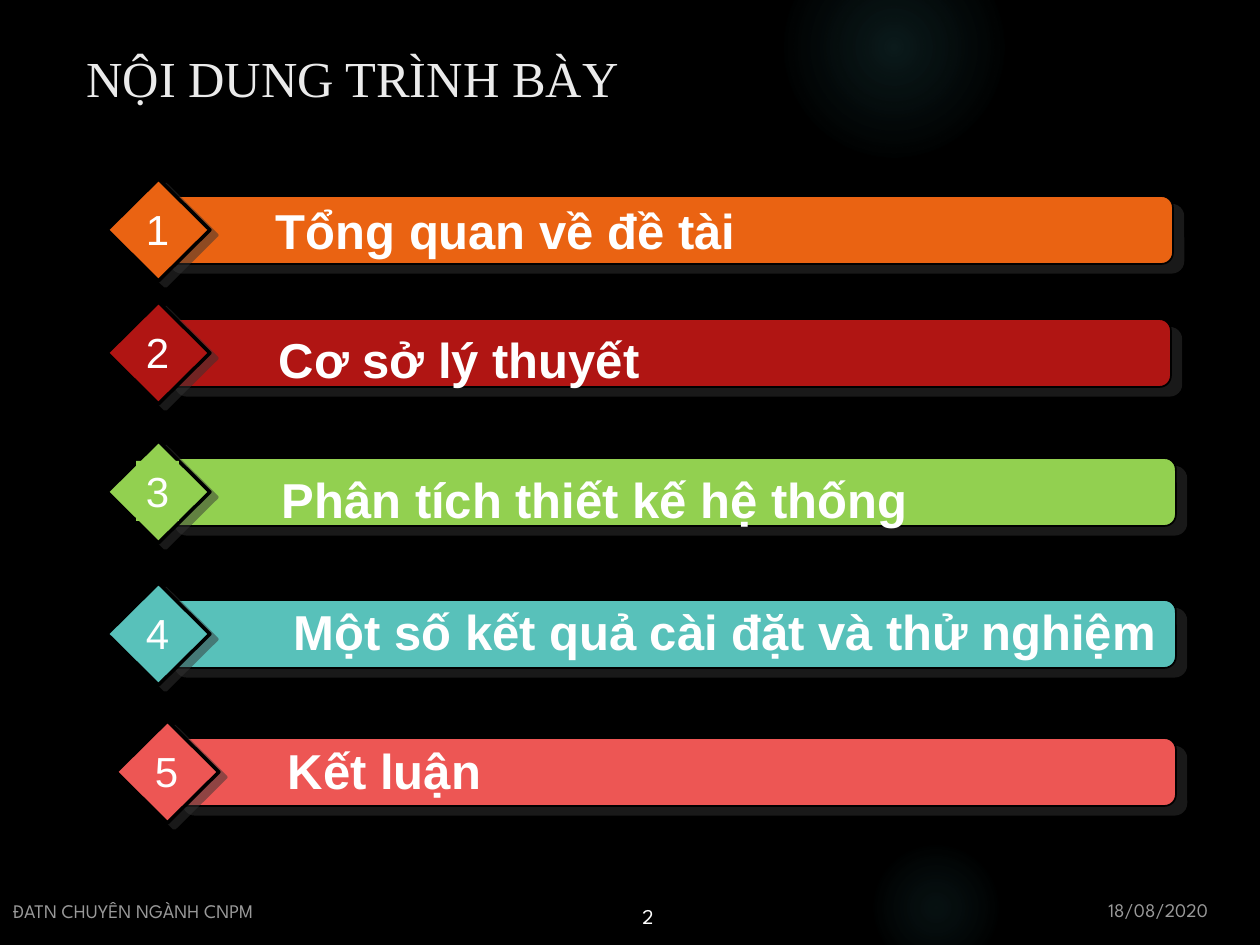
import pptx
import pptx.util
import lxml.etree
from dataclasses import dataclass
from pptx.dml.color import RGBColor
from pptx.enum.shapes import MSO_SHAPE
from pptx.enum.text import MSO_ANCHOR, PP_ALIGN
from pptx.oxml.ns import qn


@dataclass(frozen=True)
class Theme:
    back: str = "000000"
    white: str = "FFFFFF"
    title: str = "EBEBEB"
    shadow: str = "333333"
    glow: str = "50B9C1"
    heading_font: str = "Times New Roman"
    body_font: str = "Arial"
    footer_font: str = "League Spartan"
    title_size: float = 28.8
    label_size: int = 28
    number_size: int = 24
    page_size: int = 12
    footer_size: int = 11


T = Theme()

# Content; lengths in px
TITLE = "NỘI DUNG TRÌNH BÀY"
# label, colour, bar (left, top, width), diamond left,
# label box (left, top, width), label indent
AGENDA = [
    ("Tổng quan về đề tài", "EA6312", (160, 196, 1013), 107, (94, 195, 1166), 173),
    ("Cơ sở lý thuyết", "B01513", (165, 319, 1006), 107, (199, 324, 987), 71),
    ("Phân tích thiết kế hệ thống", "92D050", (165, 458, 1011), 107, (202, 464, 971), 71),
    ("Một số kết quả cài đặt và thử nghiệm", "58C1BA", (165, 600, 1011), 107, (214, 596, 971), 71),
    ("Kết luận", "ED5654", (173, 738, 1003), 116, (208, 735, 964), 71),
]
FILLED_NUMBER = 3
# text, box, size, opacity, anchor
FOOTER = [
    ("18/08/2020", (1096, 892, 156, 37), T.footer_size, 60, MSO_ANCHOR.TOP),
    ("ĐATN CHUYÊN NGÀNH CNPM", (1, 897, 532, 32), T.footer_size, 60, MSO_ANCHOR.BOTTOM),
    ("2", (630, 897, 71, 37), T.page_size, 100, MSO_ANCHOR.TOP),
]
# box, (position, opacity) stops
GLOWS = [
    ((784, -63, 220, 220), [(0, 14), (36, 7), (73, 0)]),
    ((868, 840, 136, 136), [(0, 9), (36, 5), (66, 0)]),
]
BAR_H, DIAMOND_W, DIAMOND_H = 68, 103, 102
NUMBER_W, LABEL_H, NUMBER_H = 43, 69, 60
TIGHT = (9, 5)


def px(n):
    return pptx.util.Emu(round(n * 914400 / 126))


def rgb(c):
    return RGBColor.from_string(c)


def sub(parent, tag, **attrs):
    e = lxml.etree.SubElement(parent, qn(tag))
    for k, v in attrs.items():
        e.set(k, str(v))
    return e


def add_colour(parent, colour, opacity):
    sub(sub(parent, "a:srgbClr", val=colour), "a:alpha", val=opacity * 1000)


def add_shape(s, kind, box, colour, line=0):
    sp = s.shapes.add_shape(kind, *map(px, box))
    sp.shadow.inherit = False
    sp.fill.solid()
    sp.fill.fore_color.rgb = rgb(colour)
    if line:
        sp.line.color.rgb = rgb(T.back)
        sp.line.width = pptx.util.Pt(line)
    else:
        sp.line.fill.background()
    return sp


def add_shadow(sp, dist, angle):
    effects = sp._element.spPr.find(qn("a:effectLst"))
    shadow = sub(effects, "a:outerShdw", blurRad=0, dist=int(pptx.util.Pt(dist)),
                 dir=angle * 60000, algn="ctr", rotWithShape=0)
    add_colour(shadow, T.shadow, 50)


def add_glow(s, box, stops):
    sp = add_shape(s, MSO_SHAPE.OVAL, box, T.glow)
    solid = sp._element.spPr.find(qn("a:solidFill"))
    grad = lxml.etree.Element(qn("a:gradFill"))
    solid.getparent().replace(solid, grad)
    gs_list = sub(grad, "a:gsLst")
    for pos, opacity in stops:
        add_colour(sub(gs_list, "a:gs", pos=pos * 1000), T.glow, opacity)
    half = 50000
    sub(sub(grad, "a:path", path="circle"), "a:fillToRect", l=half, t=half, r=half, b=half)


def add_text(s, text, box, font, size, colour=T.white, bold=False, align=PP_ALIGN.LEFT,
             anchor=MSO_ANCHOR.TOP, insets=None, wrap=True, opacity=100, indent=0):
    sp = s.shapes.add_textbox(*map(px, box))
    tf = sp.text_frame
    tf.word_wrap = wrap
    tf.vertical_anchor = anchor
    if insets:
        tf.margin_left = tf.margin_right = px(insets[0])
        tf.margin_top = tf.margin_bottom = px(insets[1])
    p = tf.paragraphs[0]
    r = p.add_run()
    r.text = text
    p.alignment = align
    if indent:
        p._p.get_or_add_pPr().set("marL", str(int(px(indent))))
    # Colour and face go on the run so that opacity can be attached
    f = r.font
    f.name, f.size, f.bold = font, pptx.util.Pt(size), bold
    f.color.rgb = rgb(colour)
    if opacity < 100:
        clr = r._r.rPr.find(qn("a:solidFill")).find(qn("a:srgbClr"))
        sub(clr, "a:alpha", val=opacity * 1000)
    return sp


def add_item(s, number, label, colour, bar, diamond_left, label_box, indent):
    top = bar[1]
    sp = add_shape(s, MSO_SHAPE.ROUNDED_RECTANGLE, (*bar, BAR_H), colour, line=1)
    sp.adjustments[0] = 0.17
    add_shadow(sp, 7.8, 40)
    sp = add_shape(s, MSO_SHAPE.DIAMOND, (diamond_left, top - 17, DIAMOND_W, DIAMOND_H),
                   colour, line=2)
    add_shadow(sp, 5, 37)
    add_text(s, label, (*label_box, LABEL_H), T.body_font, T.label_size, bold=True,
             align=PP_ALIGN.JUSTIFY, insets=TIGHT, indent=indent)
    sp = add_text(s, str(number), (diamond_left + 29, top + 3, NUMBER_W, NUMBER_H),
                  T.body_font, T.number_size, align=PP_ALIGN.CENTER, insets=TIGHT, wrap=False)
    if number == FILLED_NUMBER:
        sp.fill.solid()
        sp.fill.fore_color.rgb = rgb(colour)


def main():
    prs = pptx.Presentation()
    prs.slide_width, prs.slide_height = px(1260), px(945)
    s = prs.slides.add_slide(prs.slide_layouts[6])
    s.background.fill.solid()
    s.background.fill.fore_color.rgb = rgb(T.back)

    # Background glows and title
    for box, stops in GLOWS:
        add_glow(s, box, stops)
    add_text(s, TITLE, (74, 38, 1019, 78), T.heading_font, T.title_size, T.title,
             anchor=MSO_ANCHOR.MIDDLE)

    # Agenda items
    for number, item in enumerate(AGENDA, 1):
        add_item(s, number, *item)

    # Footer
    for text, box, size, opacity, anchor in FOOTER:
        add_text(s, text, box, T.footer_font, size, anchor=anchor, opacity=opacity)

    prs.save("out.pptx")


if __name__ == "__main__":
    main()
